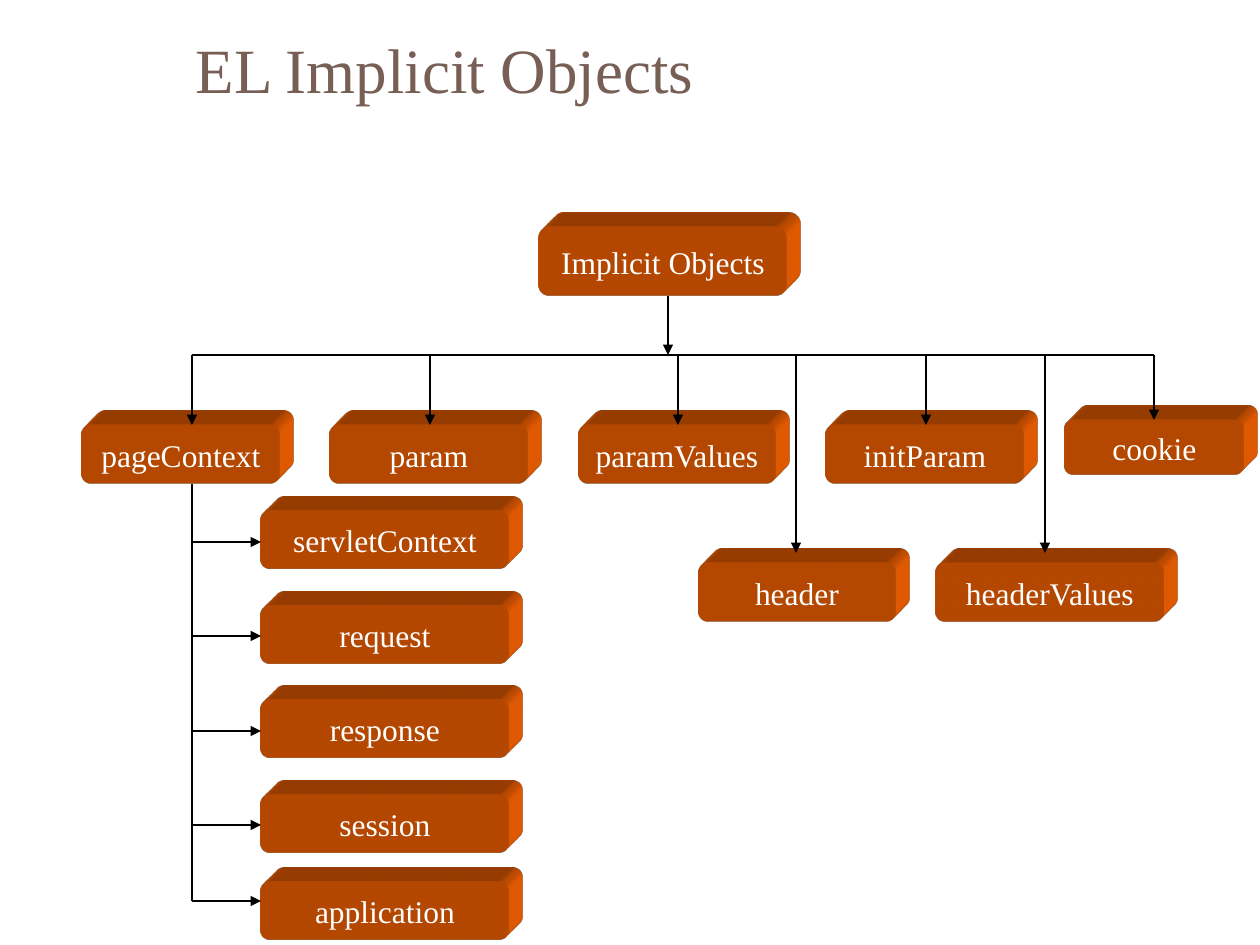
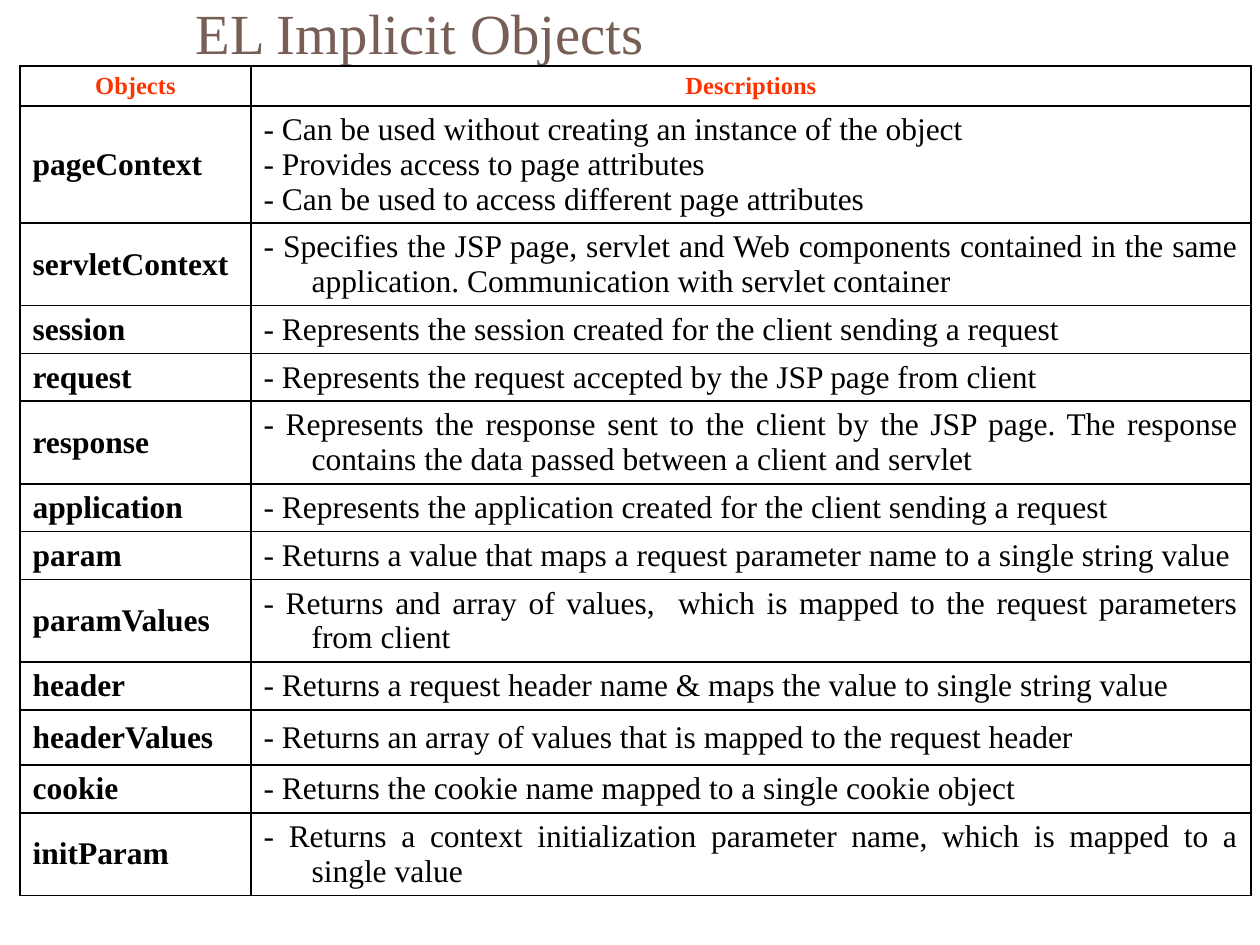
from itertools import pairwise

from lxml import etree
from pptx import Presentation
from pptx.dml.color import RGBColor
from pptx.enum.shapes import MSO_CONNECTOR, MSO_SHAPE
from pptx.enum.text import MSO_ANCHOR, MSO_AUTO_SIZE, PP_ALIGN
from pptx.oxml import parse_xml
from pptx.oxml.ns import qn
from pptx.util import Emu, Pt

STRAIGHT = MSO_CONNECTOR.STRAIGHT
ROUNDED = MSO_SHAPE.ROUNDED_RECTANGLE
MIDDLE, TOP = MSO_ANCHOR.MIDDLE, MSO_ANCHOR.TOP
LEFT, CENTER, JUSTIFY = PP_ALIGN.LEFT, PP_ALIGN.CENTER, PP_ALIGN.JUSTIFY

PX_PER_INCH = 126
FONT = "Times New Roman"
TITLE = "EL Implicit Objects"
TITLE_COLOR, HEADER_COLOR = "775F55", "FF3300"
BOX_COLOR, BLACK, WHITE = "FF6600", "000000", "FFFFFF"
DRAWING_NS = 'xmlns:a="http://schemas.openxmlformats.org/drawingml/2006/main"'
EXTRUSION_DEPTH = 287000

# Object tree: bus height, trunk positions and box sizes
BUS_Y, BOX_HEIGHT = 355, 59
ROOT_X, TRUNK_X, CHILD_X = 668, 192, 261
TRUNK_STOPS = [484, 563, 683, 791, 901]
TOP_ROW = ["pageContext", "param", "paramValues", "initParam"]
# name, left, top, width, height, arrow x, arrow end
OTHER_BRANCHES = [
    ("cookie", 1065, 420, 179, 55, 1154, 420),
    ("header", 698, 563, 198, BOX_HEIGHT, 796, 553),
    ("headerValues", 936, 563, 228, BOX_HEIGHT, 1045, 553),
]
# name, box top, arrow y
CHILDREN = [
    ("servletContext", 510, 542),
    ("request", 605, 636),
    ("response", 699, 731),
    ("session", 794, 825),
    ("application", 881, 901),
]

# Object name, row height, description lines
DESCRIPTIONS = [
    ("pageContext", 117, ["- Can be used without creating an instance of the object",
                          "- Provides access to page attributes",
                          "- Can be used to access different page attributes"]),
    ("servletContext", 82, ["- Specifies the JSP page, servlet and Web components contained in "
                            "the same application. Communication with servlet container"]),
    ("session", 48, ["- Represents the session created for the client sending a request"]),
    ("request", 47, ["- Represents the request accepted by the JSP page from client"]),
    ("response", 83, ["- Represents the response sent to the client by the JSP page. The response "
                      "contains the data passed between a client and servlet"]),
    ("application", 47, ["- Represents the application created for the client sending a request"]),
    ("param", 48, ["- Returns a value that maps a request parameter name to a single string value"]),
    ("paramValues", 82, ["- Returns and array of values,  which is mapped to the request "
                         "parameters from client"]),
    ("header", 48, ["- Returns a request header name & maps the value to single string value"]),
    ("headerValues", 55, ["- Returns an array of values that is mapped to the request header"]),
    ("cookie", 48, ["- Returns the cookie name mapped to a single cookie object"]),
    ("initParam", 82, ["- Returns a context initialization parameter name, which is mapped to "
                       "a single value"]),
]
HEADER_HEIGHT = 40
COLUMN_WIDTHS = [231, 1000]


def px(length):
    return Emu(round(length * 914400 / PX_PER_INCH))


def rgb(color):
    return RGBColor.from_string(color)


def style(paragraph, size, color, alignment, bold=False):
    paragraph.alignment = alignment
    font = paragraph.font
    font.name, font.size, font.bold = FONT, Pt(size), bold
    font.color.rgb = rgb(color)


def add_titled_slide(presentation, height, size):
    slide = presentation.slides.add_slide(presentation.slide_layouts[5])
    title = slide.shapes.title
    title.left, title.top, title.width, title.height = px(183), px(0), px(1077), px(height)
    frame = title.text_frame
    frame.text = TITLE
    frame.auto_size = MSO_AUTO_SIZE.NONE
    frame.vertical_anchor = MIDDLE
    style(frame.paragraphs[0], size, TITLE_COLOR, LEFT)
    return slide


def extrude(shape):
    properties = shape._element.spPr
    properties.append(parse_xml(
        f'<a:scene3d {DRAWING_NS}><a:camera prst="legacyObliqueTopRight"/>'
        '<a:lightRig rig="legacyFlat3" dir="b"/></a:scene3d>'))
    properties.append(parse_xml(
        f'<a:sp3d {DRAWING_NS} extrusionH="{EXTRUSION_DEPTH}" prstMaterial="legacyMatte">'
        '<a:bevelT w="13500" h="13500" prst="angle"/><a:bevelB w="13500" h="13500" prst="angle"/>'
        f'<a:extrusionClr><a:srgbClr val="{BOX_COLOR}"/></a:extrusionClr></a:sp3d>'))


def add_box(slide, name, left, top, width, height=BOX_HEIGHT):
    box = slide.shapes.add_shape(ROUNDED, px(left), px(top), px(width), px(height))
    box.shadow.inherit = False
    box.fill.solid()
    box.fill.fore_color.rgb = rgb(BOX_COLOR)
    box.line.fill.background()
    extrude(box)
    frame = box.text_frame
    frame.text = name
    frame.word_wrap = False
    frame.vertical_anchor = MIDDLE
    style(frame.paragraphs[0], 18, WHITE, CENTER)


def add_line(slide, start, end, arrow=True):
    line = slide.shapes.add_connector(STRAIGHT, *map(px, start + end))
    line.line.color.rgb = rgb(BLACK)
    line.line.width = Pt(0.75)
    if arrow:
        etree.SubElement(line.line._get_or_add_ln(), qn("a:tailEnd"), type="triangle")
    etree.SubElement(line._element.spPr, qn("a:effectLst"))


def set_borders(cell):
    properties = cell._tc.get_or_add_tcPr()
    for position, side in enumerate(("lnL", "lnR", "lnT", "lnB")):
        properties.insert(position, parse_xml(
            f'<a:{side} {DRAWING_NS} w="12700"><a:solidFill><a:srgbClr val="{BLACK}"/>'
            f'</a:solidFill></a:{side}>'))


def fill_cell(cell, lines, size, color, alignment, bold, anchor=MIDDLE):
    cell.text = "\n".join(lines)
    cell.vertical_anchor = anchor
    cell.fill.background()
    set_borders(cell)
    for paragraph in cell.text_frame.paragraphs:
        style(paragraph, size, color, alignment, bold)
        properties = paragraph._p.get_or_add_pPr()
        properties.set("marL", str(px(48)))
        properties.set("indent", str(-px(48)))


def add_object_tree(slide):
    # Root and bus
    add_box(slide, "Implicit Objects", 539, 227, 248, 69)
    add_line(slide, (TRUNK_X, BUS_Y), (1154, BUS_Y), arrow=False)
    add_line(slide, (ROOT_X, 296), (ROOT_X, BUS_Y))

    # Branches below the bus
    for column, name in enumerate(TOP_ROW):
        left = 82 + 248 * column
        arrow_x = left + 100 if column else TRUNK_X
        add_box(slide, name, left, 425, 198)
        add_line(slide, (arrow_x, BUS_Y), (arrow_x, 425))
    for name, left, top, width, height, arrow_x, arrow_end in OTHER_BRANCHES:
        add_box(slide, name, left, top, width, height)
        add_line(slide, (arrow_x, BUS_Y), (arrow_x, arrow_end))

    # Objects reached through pageContext
    for start, end in pairwise(TRUNK_STOPS):
        add_line(slide, (TRUNK_X, start), (TRUNK_X, end), arrow=False)
    for name, top, arrow_y in CHILDREN:
        add_box(slide, name, CHILD_X, top, 248)
        add_line(slide, (TRUNK_X, arrow_y), (CHILD_X, arrow_y))


def add_description_table(slide):
    heights = [HEADER_HEIGHT] + [height for _, height, _ in DESCRIPTIONS]
    table = slide.shapes.add_table(len(heights), 2, px(20), px(66),
                                   px(sum(COLUMN_WIDTHS)), px(sum(heights))).table
    table.first_row = table.horz_banding = False
    for column, width in zip(table.columns, COLUMN_WIDTHS):
        column.width = px(width)
    for row, height in zip(table.rows, heights):
        row.height = px(height)
    for column, heading in enumerate(("Objects", "Descriptions")):
        fill_cell(table.cell(0, column), [heading], 14, HEADER_COLOR, CENTER, True, TOP)
    for row, (name, _, lines) in enumerate(DESCRIPTIONS, start=1):
        fill_cell(table.cell(row, 0), [name], 18, BLACK, LEFT, True)
        fill_cell(table.cell(row, 1), lines, 18, BLACK, JUSTIFY, False)


def main():
    presentation = Presentation()
    presentation.slide_width, presentation.slide_height = px(1260), px(945)
    add_object_tree(add_titled_slide(presentation, 136, 36))
    add_description_table(add_titled_slide(presentation, 63, 32.4))
    presentation.save("out.pptx")


if __name__ == "__main__":
    main()
